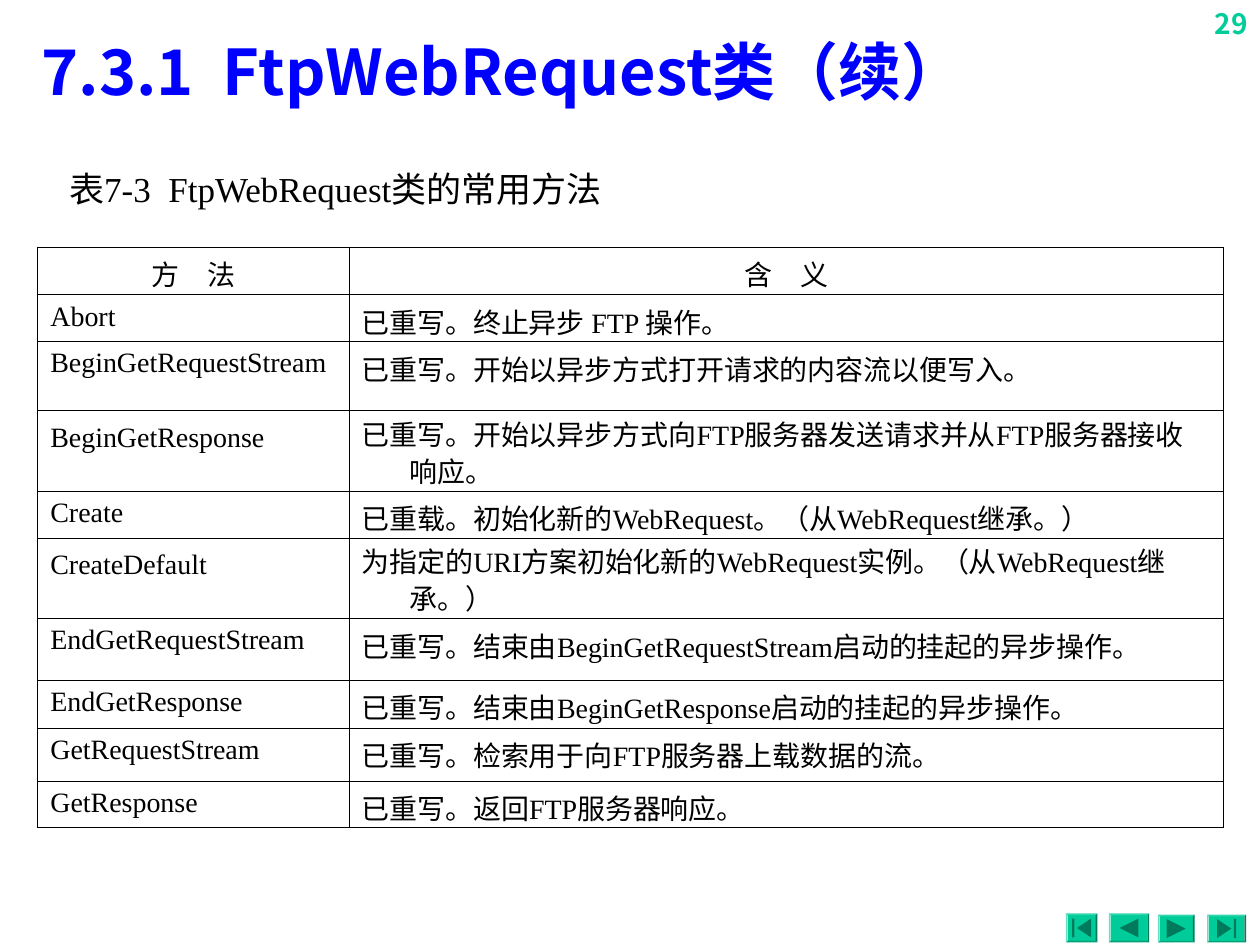
"""Build the FtpWebRequest methods slide with its table and navigation buttons."""
import dataclasses
from typing import Optional

import pptx
import pptx.dml.color
import pptx.enum.shapes
import pptx.enum.text
import pptx.oxml
import pptx.oxml.ns
import pptx.util

Inches = pptx.util.Inches
Pt = pptx.util.Pt
ALIGN = pptx.enum.text.PP_ALIGN
ANCHOR = pptx.enum.text.MSO_ANCHOR


@dataclasses.dataclass(frozen=True)
class Style:
    font: str
    size: int
    color: str
    bold: bool = False


@dataclasses.dataclass(frozen=True)
class Theme:
    number: Style = Style("Noto Sans CJK KR", 16, "00CC99", True)
    title: Style = Style("Noto Sans CJK SC", 36, "0000FF", True)
    caption: Style = Style("Times New Roman", 20, "000000")
    body: Style = Style("Times New Roman", 16, "000000")
    east_asian: str = "Noto Sans CJK SC"
    button: str = "00CC99"
    icon: str = "007A5C"
    border: str = "000000"
    border_pt: float = 0.45
    tight_pt: int = 21


@dataclasses.dataclass(frozen=True)
class Label:
    text: str
    box: tuple[float, float, float, float]
    style: Style
    anchor: ANCHOR = ANCHOR.MIDDLE
    align: ALIGN = ALIGN.LEFT


@dataclasses.dataclass(frozen=True)
class Method:
    name: str
    meaning: str
    height: float
    tight: bool = False


@dataclasses.dataclass(frozen=True)
class Button:
    left: float
    top: float
    width: float
    height: float
    forward: bool
    bar: bool


THEME = Theme()
LABELS = [
    Label("29", (9.45, 0, 0.55, 0.4), THEME.number, ANCHOR.TOP, ALIGN.RIGHT),
    Label("7.3.1  FtpWebRequest类（续）", (0.23, 0.19, 9.52, 0.74), THEME.title),
    Label("表7-3  FtpWebRequest类的常用方法", (0.45, 1.28, 4.89, 0.44), THEME.caption),
]
COLUMNS = [2.47, 6.94]
METHODS = [
    Method("方　法", "含　义", 0.38),
    Method("Abort", "已重写。终止异步 FTP 操作。", 0.37),
    Method("BeginGetRequestStream", "已重写。开始以异步方式打开请求的内容流以便写入。", 0.55),
    Method("BeginGetResponse", "已重写。开始以异步方式向FTP服务器发送请求并从FTP服务器接收响应。", 0.64, True),
    Method("Create", "已重载。初始化新的WebRequest。（从WebRequest继承。）", 0.37),
    Method("CreateDefault", "为指定的URI方案初始化新的WebRequest实例。（从WebRequest继承。）", 0.64, True),
    Method("EndGetRequestStream", "已重写。结束由BeginGetRequestStream启动的挂起的异步操作。", 0.49),
    Method("EndGetResponse", "已重写。结束由BeginGetResponse启动的挂起的异步操作。", 0.38),
    Method("GetRequestStream", "已重写。检索用于向FTP服务器上载数据的流。", 0.42),
    Method("GetResponse", "已重写。返回FTP服务器响应。", 0.37),
]
BUTTONS = [
    Button(8.46, 7.25, 0.25, 0.23, forward=False, bar=True),
    Button(8.8, 7.25, 0.32, 0.23, forward=False, bar=False),
    Button(9.19, 7.26, 0.29, 0.22, forward=True, bar=False),
    Button(9.58, 7.26, 0.31, 0.22, forward=True, bar=True),
]


def rgb(color: str) -> pptx.dml.color.RGBColor:
    return pptx.dml.color.RGBColor.from_string(color)


def write(tf, text: str, style: Style, align: ALIGN):
    tf.text = text
    p = tf.paragraphs[0]
    p.alignment = align
    r = p.runs[0]
    r.font.name, r.font.size, r.font.bold = style.font, Pt(style.size), style.bold
    r.font.color.rgb = rgb(style.color)
    ea = pptx.oxml.parse_xml(
        f'<a:ea {pptx.oxml.ns.nsdecls("a")} typeface="{THEME.east_asian}"/>')
    r.font._element.find(pptx.oxml.ns.qn("a:latin")).addnext(ea)
    return p


def add_label(slide, label: Label) -> None:
    tf = slide.shapes.add_textbox(*map(Inches, label.box)).text_frame
    tf.word_wrap = True
    tf.vertical_anchor = label.anchor
    write(tf, label.text, label.style, label.align)


def add_borders(cell) -> None:
    tc_pr = cell._tc.get_or_add_tcPr()
    for i, side in enumerate(("lnL", "lnR", "lnT", "lnB")):
        tc_pr.insert(i, pptx.oxml.parse_xml(
            f'<a:{side} {pptx.oxml.ns.nsdecls("a")} w="{Pt(THEME.border_pt)}">'
            f'<a:solidFill><a:srgbClr val="{THEME.border}"/></a:solidFill></a:{side}>'))


def add_methods(slide, methods: list[Method]) -> None:
    height = sum(m.height for m in methods)
    table = slide.shapes.add_table(
        len(methods), len(COLUMNS), Inches(0.3), Inches(1.96),
        Inches(sum(COLUMNS)), Inches(height)).table
    table.first_row = table.horz_banding = False
    for column, width in zip(table.columns, COLUMNS):
        column.width = Inches(width)
    for i, method in enumerate(methods):
        table.rows[i].height = Inches(method.height)
        for cell, text in zip(table.rows[i].cells, (method.name, method.meaning)):
            cell.margin_bottom = 0
            cell.fill.background()
            add_borders(cell)
            p = write(cell.text_frame, text, THEME.body, ALIGN.LEFT if i else ALIGN.CENTER)
            p_pr = p._p.get_or_add_pPr()
            p_pr.set("marL", str(Inches(0.38)))
            p_pr.set("indent", str(Inches(-0.38)))
            if method.tight:
                p.line_spacing = Pt(THEME.tight_pt)


def paint(sp, color: str) -> None:
    sp.shadow.inherit = False
    sp.fill.solid()
    sp.fill.fore_color.rgb = rgb(color)
    sp.line.fill.background()


def add_button(slide, button: Button, icon: float = 0.15) -> None:
    sp = slide.shapes.add_shape(
        pptx.enum.shapes.MSO_SHAPE.BEVEL, Inches(button.left), Inches(button.top),
        Inches(button.width), Inches(button.height))
    sp.adjustments[0] = 0.06
    paint(sp, THEME.button)

    direction = 1 if button.forward else -1
    center_x = button.left + button.width / 2
    center_y = button.top + button.height / 2

    def point(x: float, y: float) -> tuple[int, int]:
        return Inches(center_x + direction * x * icon), Inches(center_y + y * icon)

    tip = 0.25 if button.bar else 0.5
    outlines = [[(-0.5, -0.5), (tip, 0), (-0.5, 0.5)]]
    if button.bar:
        outlines.append([(0.38, -0.5), (0.5, -0.5), (0.5, 0.5), (0.38, 0.5)])
    builder = slide.shapes.build_freeform(*point(*outlines[0][0]))
    for i, outline in enumerate(outlines):
        if i:
            builder.move_to(*point(*outline[0]))
        builder.add_line_segments([point(*xy) for xy in outline[1:]], close=True)
    paint(builder.convert_to_shape(), THEME.icon)


def main() -> None:
    prs = pptx.Presentation()
    prs.slide_width, prs.slide_height = Inches(10), Inches(7.5)
    slide = prs.slides.add_slide(prs.slide_layouts[6])
    for button in BUTTONS:
        add_button(slide, button)
    for label in LABELS:
        add_label(slide, label)
    add_methods(slide, METHODS)
    prs.save("out.pptx")


if __name__ == "__main__":
    main()
